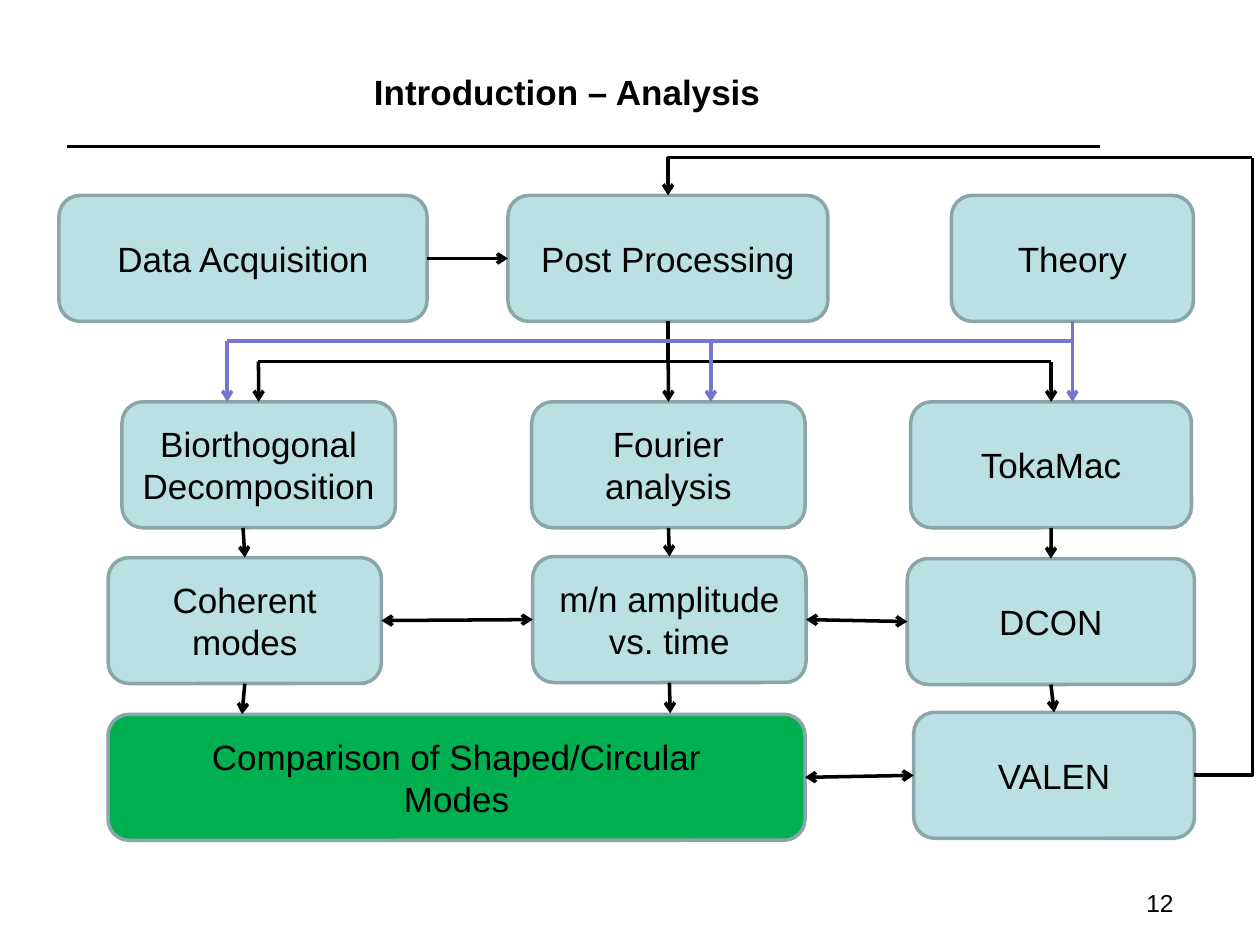
from lxml import etree
from pptx import Presentation
from pptx import util as u
from pptx.dml.color import RGBColor
from pptx.enum import shapes, text
from pptx.oxml import ns

TOP, LEFT, BOTTOM, RIGHT = range(4)
BLACK, PALE, GREEN, EDGE, VIOLET = "000000", "BBE0E3", "00B050", "8AA6A8", "7575D1"
CENTRED = {"alignment": text.PP_ALIGN.CENTER}
MIDDLE = {"word_wrap": True, "vertical_anchor": text.MSO_ANCHOR.MIDDLE}


def colour(value):
    return RGBColor.from_string(value)


def assign(target, values):
    for name, value in values.items():
        setattr(target, name, value)


class Flowchart:
    """Draws boxes, labels and connectors in one style on one slide."""

    def __init__(self, slide):
        self.shapes = slide.shapes
        self.line_width = u.Pt(2)

    def caption(self, shape, wording, frame, paragraph, font):
        assign(shape.text_frame, frame)
        shape.text_frame.text = wording
        for part in shape.text_frame.paragraphs:
            assign(part, paragraph)
            assign(part.font, {"name": "Arial", "size": u.Pt(20), **font})
            part.font.color.rgb = colour(BLACK)

    def label(self, wording, left, top, width, height, frame, paragraph, **font):
        area = map(u.Cm, (left, top, width, height))
        self.caption(self.shapes.add_textbox(*area), wording, frame, paragraph, font)

    def box(self, wording, left, top, width, fill=PALE):
        area = map(u.Cm, (left, top, width, 2.54))
        shape = self.shapes.add_shape(shapes.MSO_SHAPE.ROUNDED_RECTANGLE, *area)
        shape.shadow.inherit = False
        shape.fill.solid()
        shape.fill.fore_color.rgb = colour(fill)
        shape.line.color.rgb = colour(EDGE)
        shape.line.width = self.line_width
        self.caption(shape, wording, MIDDLE, CENTRED, {})
        return shape

    def link(self, start, end, ends=("tailEnd",), ink=BLACK, bend=None):
        kind = shapes.MSO_CONNECTOR.STRAIGHT if bend is None else shapes.MSO_CONNECTOR.ELBOW
        places = [p if isinstance(p[0], (int, float)) else (0, 0) for p in (start, end)]
        line = self.shapes.add_connector(kind, *(u.Cm(v) for place in places for v in place))
        for target, join in ((start, line.begin_connect), (end, line.end_connect)):
            if not isinstance(target[0], (int, float)):
                join(*target)
        line.line.color.rgb = colour(ink)
        line.line.width = self.line_width
        properties = line._element.spPr
        for tip in ends:
            etree.SubElement(properties.find(ns.qn("a:ln")), ns.qn("a:" + tip), type="arrow")
        etree.SubElement(properties, ns.qn("a:effectLst"))
        if bend is not None:
            guides = properties.find(ns.qn("a:prstGeom")).find(ns.qn("a:avLst"))
            etree.SubElement(guides, ns.qn("a:gd"), name="adj1", fmla=f"val {bend}")


def main():
    deck = Presentation()
    deck.slide_width, deck.slide_height = u.Cm(25.4), u.Cm(19.05)
    chart = Flowchart(deck.slides.add_slide(deck.slide_layouts[6]))
    both = ("headEnd", "tailEnd")
    down_first, across_first = 0, 100000

    chart.link((1.35, 2.95), (22.17, 2.95), ends=())
    chart.label("12", 22.86, 17.78, 1.27, 0.89, {"word_wrap": True}, {}, size=u.Pt(14))
    chart.label("Introduction – Analysis", 0.64, 0.89, 21.59, 1.9, MIDDLE, CENTRED, bold=True)

    acquisition = chart.box("Data Acquisition", 1.19, 3.94, 7.42)
    processing = chart.box("Post Processing", 10.24, 3.94, 6.45)
    theory = chart.box("Theory", 19.18, 3.94, 4.88)
    biorthogonal = chart.box("Biorthogonal Decomposition", 2.46, 8.1, 5.51)
    fourier = chart.box("Fourier analysis", 10.72, 8.1, 5.51)
    tokamac = chart.box("TokaMac", 18.36, 8.1, 5.66)
    coherent = chart.box("Coherent modes", 2.18, 11.24, 5.51)
    amplitude = chart.box("m/n amplitude vs. time", 10.74, 11.22, 5.51)
    dcon = chart.box("DCON", 18.29, 11.26, 5.79)
    comparison = chart.box("Comparison of Shaped/Circular\nModes", 2.18, 14.4, 14.05, GREEN)
    valen = chart.box("VALEN", 18.42, 14.36, 5.66)

    chart.link((acquisition, RIGHT), (processing, LEFT))
    for upper, lower in ((processing, fourier), (fourier, amplitude),
                         (tokamac, dcon), (dcon, valen)):
        chart.link((upper, BOTTOM), (lower, TOP))
    for left, right in ((coherent, amplitude), (amplitude, dcon), (comparison, valen)):
        chart.link((left, RIGHT), (right, LEFT), both)
    chart.link((4.9, 10.64), (coherent, TOP))
    chart.link((coherent, BOTTOM), (4.88, 14.4))
    chart.link((amplitude, BOTTOM), (13.51, 14.38))

    for branch_x, analysis in ((5.21, biorthogonal), (21.19, tokamac)):
        chart.link((13.47, 6.48), (branch_x, 7.29), (), bend=down_first)
        chart.link((branch_x, 7.29), (analysis, TOP))

    chart.link((theory, BOTTOM), (21.62, 8.1), ink=VIOLET)
    chart.link((21.62, 6.48), (4.58, 6.88), (), VIOLET, down_first)
    for branch_x in (4.58, 14.33):
        chart.link((branch_x, 6.88), (branch_x, 8.1), ink=VIOLET)

    chart.link((24.08, 15.63), (25.25, 3.18), (), bend=across_first)
    chart.link((25.25, 3.18), (13.47, 3.94), bend=across_first)
    deck.save("out.pptx")


if __name__ == "__main__":
    main()
